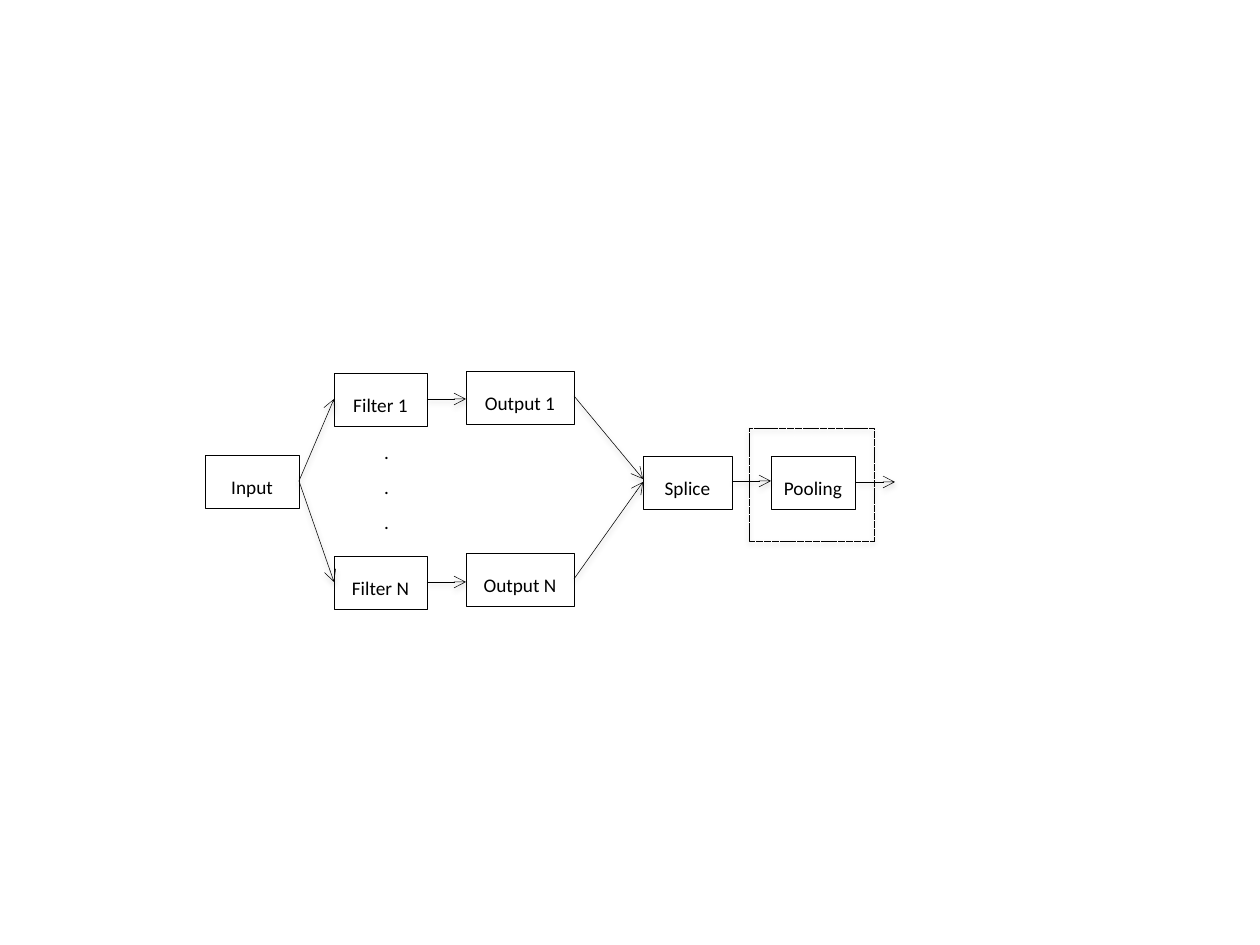
import pptx
import pptx.util
from lxml import etree
from pptx.dml.color import RGBColor
from pptx.enum.dml import MSO_LINE
from pptx.enum.shapes import MSO_CONNECTOR, MSO_SHAPE
from pptx.enum.text import MSO_ANCHOR, MSO_AUTO_SIZE, PP_ALIGN
from pptx.oxml.ns import qn

PX_PER_INCH = 126
BLACK = RGBColor(0x00, 0x00, 0x00)
WHITE = RGBColor(0xFF, 0xFF, 0xFF)
CREAM = RGBColor(0xEE, 0xEC, 0xE1)
LINE_WIDTH = pptx.util.Pt(0.3)
BOX_HEIGHT = 53

# Label, left, top and width of each step, in px
STEPS = [
    ("Input", 205, 455, 94),
    ("Filter 1", 334, 373, 93),
    ("Filter N", 334, 556, 93),
    ("Output 1", 466, 371, 108),
    ("Output N", 466, 553, 108),
    ("Splice", 643, 456, 89),
    ("Pooling", 771, 456, 84),
]

# Start and end of each arrow, in px
ARROWS = [
    (299, 481, 334, 399),
    (299, 481, 334, 582),
    (427, 399, 466, 399),
    (427, 582, 466, 582),
    (574, 396, 643, 479),
    (574, 579, 643, 482),
    (732, 481, 771, 481),
    (856, 482, 895, 482),
]


def px(count):
    return pptx.util.Emu(round(count * 914400 / PX_PER_INCH))


def style_line(shape):
    shape.line.color.rgb = BLACK
    shape.line.width = LINE_WIDTH


def write_text(frame, text):
    frame.text = text
    for para in frame.paragraphs:
        para.alignment = PP_ALIGN.CENTER
        para.line_spacing = 1.5
        for span in para.runs:
            span.font.name = "Calibri"
            span.font.size = pptx.util.Pt(11)
            span.font.color.rgb = BLACK


def add_step(page, label, left, top, width):
    box = page.shapes.add_shape(
        MSO_SHAPE.RECTANGLE, px(left), px(top), px(width), px(BOX_HEIGHT))
    box.shadow.inherit = False
    box.fill.solid()
    box.fill.fore_color.rgb = WHITE
    style_line(box)
    frame = box.text_frame
    frame.margin_left = frame.margin_right = 0
    frame.vertical_anchor = MSO_ANCHOR.MIDDLE
    write_text(frame, label)


def add_dots(page, left, top, width, height):
    box = page.shapes.add_textbox(px(left), px(top), px(width), px(height))
    box.text_frame.word_wrap = False
    box.text_frame.auto_size = MSO_AUTO_SIZE.SHAPE_TO_FIT_TEXT
    write_text(box.text_frame, ".\n.\n.")


def add_arrow(page, *ends):
    # The soft shadow comes from the theme
    arrow = page.shapes.add_connector(MSO_CONNECTOR.STRAIGHT, *map(px, ends))
    style_line(arrow)
    etree.SubElement(arrow.line._get_or_add_ln(), qn("a:tailEnd"), type="arrow")


def add_dashed_frame(page, left, top, width, height):
    # The soft shadow comes from the theme
    border = page.shapes.add_shape(
        MSO_SHAPE.FRAME, px(left), px(top), px(width), px(height))
    border.adjustments[0] = 0
    border.fill.solid()
    border.fill.fore_color.rgb = CREAM
    color = border.fill._xPr.find(qn("a:solidFill"))[0]
    etree.SubElement(color, qn("a:alpha"), val="75000")
    style_line(border)
    border.line.dash_style = MSO_LINE.LONG_DASH_DOT


def main():
    deck = pptx.Presentation()
    deck.slide_width, deck.slide_height = px(1260), px(945)
    page = deck.slides.add_slide(deck.slide_layouts[6])

    # Steps and the dots between the filters
    for step in STEPS:
        add_step(page, *step)
    add_dots(page, 369, 423, 35, 116)

    # Optional pooling stage and the flow
    add_dashed_frame(page, 749, 428, 125, 113)
    for ends in ARROWS:
        add_arrow(page, *ends)

    deck.save("out.pptx")


if __name__ == "__main__":
    main()
